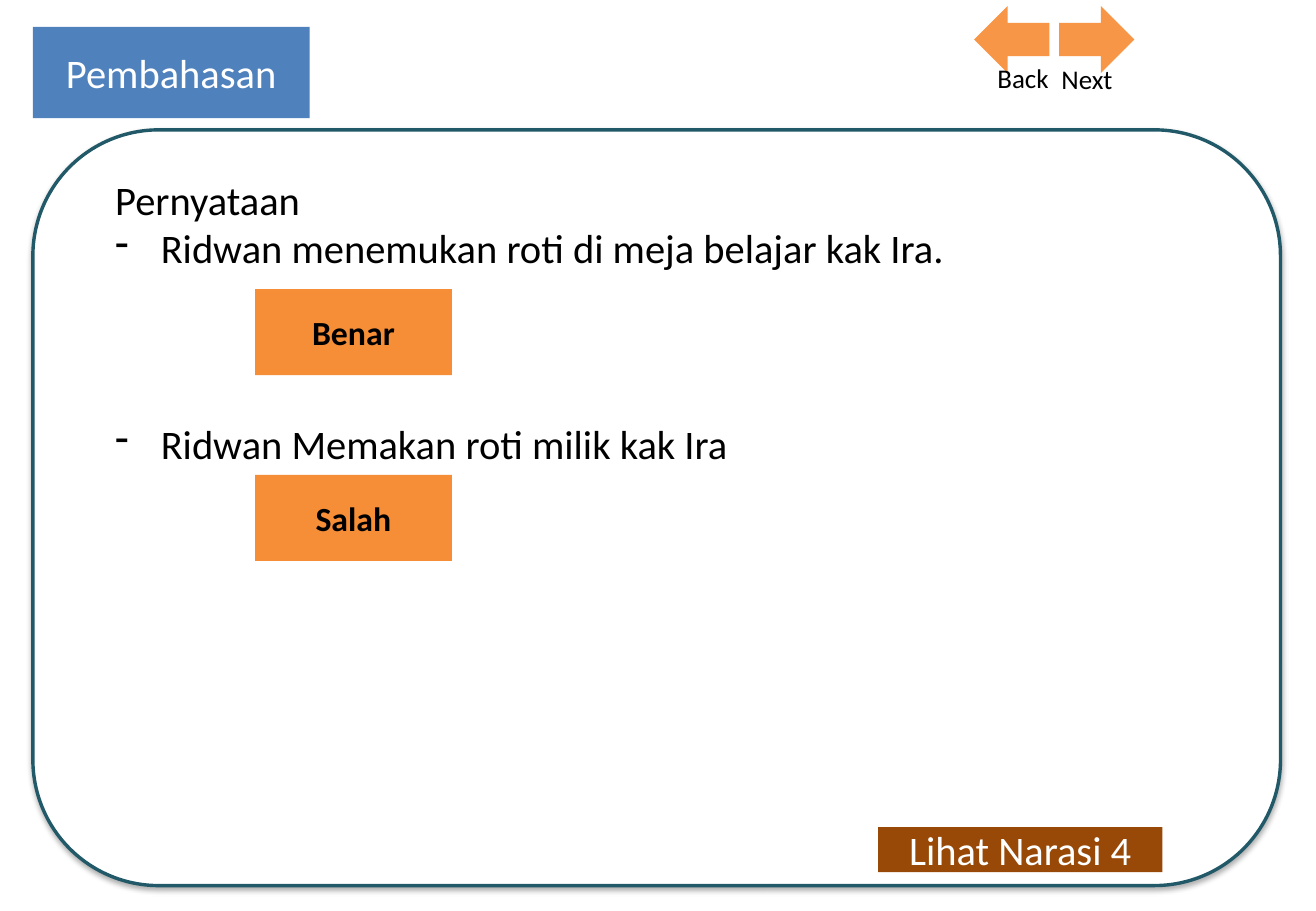
"""Build the "Pembahasan" quiz answer slide."""
from lxml import etree
from pptx import Presentation
from pptx.dml.color import RGBColor
from pptx.enum import shapes, text
from pptx.oxml import ns
from pptx.util import Pt


def rgb(value):
    return RGBColor.from_string(value)


def write(p, words, size=24, color="000000", bold=False, align=text.PP_ALIGN.LEFT, before=0, bullet=None):
    p.alignment = align
    p.space_before = Pt(before)
    if bullet:
        pPr = p._p.get_or_add_pPr()
        pPr.set("marL", str(Pt(27)))
        pPr.set("indent", str(-Pt(27)))
        etree.SubElement(pPr, ns.qn("a:buFontTx"))
        etree.SubElement(pPr, ns.qn("a:buChar"), char=bullet)
    r = p.add_run()
    r.text = words
    r.font.name = "Calibri"
    r.font.size = Pt(size)
    r.font.bold = bold
    r.font.color.rgb = rgb(color)


prs = Presentation()
prs.slide_width, prs.slide_height = Pt(780), Pt(540)
s = prs.slides.add_slide(prs.slide_layouts[6])
SHAPE = shapes.MSO_SHAPE

panel = s.shapes.add_shape(SHAPE.ROUNDED_RECTANGLE, Pt(19.5), Pt(77), Pt(739.5), Pt(448))
panel.fill.solid()
panel.fill.fore_color.rgb = rgb("FFFFFF")
panel.line.color.rgb = rgb("215968")
panel.line.width = Pt(2)
panel.shadow.inherit = False
effects = panel._element.spPr.find(ns.qn("a:effectLst"))
shadow = etree.SubElement(effects, ns.qn("a:outerShdw"), blurRad=str(Pt(3.5)), dist=str(Pt(2.2)),
                          dir="5400000", rotWithShape="0")
shade = etree.SubElement(shadow, ns.qn("a:srgbClr"), val="000000")
etree.SubElement(shade, ns.qn("a:alpha"), val="32000")

tf = s.shapes.add_textbox(Pt(61.2), Pt(100), Pt(680.5), Pt(181.5)).text_frame
tf.word_wrap = True
write(tf.paragraphs[0], "Pernyataan")
write(tf.add_paragraph(), "Ridwan menemukan roti di meja belajar kak Ira.", bullet="-")
write(tf.add_paragraph(), "Ridwan Memakan roti milik kak Ira", bullet="-", before=87)

boxes = [
    ("Pembahasan", 19.5, 16, 164, 54, "4F81BD", 24, "FFFFFF", False),
    ("Benar", 151.2, 171.4, 116.6, 51, "F68D37", 20, "000000", True),
    ("Salah", 151.2, 281.5, 116.6, 51, "F68D37", 20, "000000", True),
    ("Lihat Narasi 4", 520.5, 490.3, 168.5, 26.7, "984807", 24, "FFFFFF", False),
]
for words, x, y, w, h, fill, size, color, bold in boxes:
    sp = s.shapes.add_shape(SHAPE.RECTANGLE, Pt(x), Pt(y), Pt(w), Pt(h))
    sp.shadow.inherit = False
    sp.fill.solid()
    sp.fill.fore_color.rgb = rgb(fill)
    sp.line.fill.background()
    tf = sp.text_frame
    tf.word_wrap = True
    tf.vertical_anchor = text.MSO_ANCHOR.MIDDLE
    write(tf.paragraphs[0], words, size, color, bold, text.PP_ALIGN.CENTER)

buttons = [
    ("Back", 577.4, 180, 527.8, 33.1, text.PP_ALIGN.RIGHT),
    ("Next", 627.8, 0, 622.1, 33.8, text.PP_ALIGN.LEFT),
]
for words, arrow_x, rotation, label_x, label_y, align in buttons:
    sp = s.shapes.add_shape(SHAPE.RIGHT_ARROW, Pt(arrow_x), Pt(3.6), Pt(44.6), Pt(39.6))
    sp.rotation = rotation
    sp.shadow.inherit = False
    sp.fill.solid()
    sp.fill.fore_color.rgb = rgb("F79646")
    sp.line.fill.background()
    tf = s.shapes.add_textbox(Pt(label_x), Pt(label_y), Pt(100.8), Pt(26.6)).text_frame
    tf.word_wrap = True
    write(tf.paragraphs[0], words, 16, align=align)

prs.save("out.pptx")
